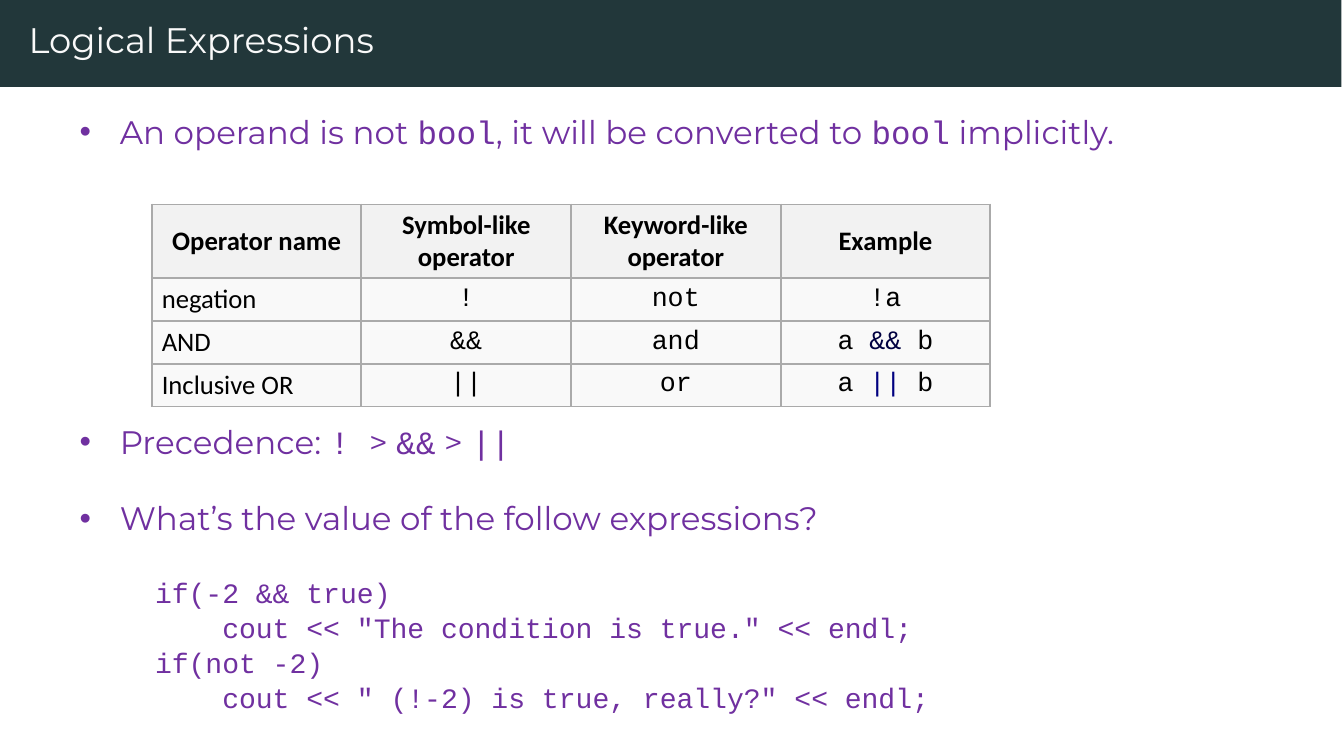
import pptx
import pptx.util
import pptx.dml.color
import pptx.enum.shapes
import pptx.enum.text
import pptx.oxml
import pptx.oxml.ns

Cm = pptx.util.Cm
Pt = pptx.util.Pt
align = pptx.enum.text.PP_ALIGN
anchor = pptx.enum.text.MSO_ANCHOR
namespace = pptx.oxml.ns.nsdecls("a")
MONO = "Courier New"
SANS = "Montserrat"
PURPLE = "7030A0"


def color(value):
    return pptx.dml.color.RGBColor.from_string(value)


def add_run(paragraph, text, name, size, fill, bold=False):
    run = paragraph.add_run()
    run.text = text
    for key, value in {"name": name, "size": Pt(size), "bold": bold}.items():
        setattr(run.font, key, value)
    run.font.color.rgb = color(fill)


presentation = pptx.Presentation()
presentation.slide_width = Cm(16.03)
presentation.slide_height = Cm(9.02)
slide = presentation.slides.add_slide(presentation.slide_layouts[5])

band = slide.shapes.add_shape(
    pptx.enum.shapes.MSO_SHAPE.RECTANGLE, 0, 0, Cm(16), Cm(1.04))
band.shadow.inherit = False
band.fill.solid()
band.fill.fore_color.rgb = color("22373A")
band.line.fill.background()
slide.shapes._spTree.insert(2, band._element)

title = slide.shapes.title
body = slide.shapes.add_textbox(0, 0, Cm(1), Cm(1))
places = [(title, (0.34, 0.22, 12.17, 0.58)), (body, (0.95, 1.34, 14.25, 7.47))]
frame_format = {"margin_left": 0, "margin_right": 0, "margin_top": 0,
                "margin_bottom": 0, "word_wrap": True,
                "vertical_anchor": anchor.TOP,
                "auto_size": pptx.enum.text.MSO_AUTO_SIZE.NONE}
for shape, place in places:
    for key, value in zip(("left", "top", "width", "height"), place):
        setattr(shape, key, Cm(value))
    for key, value in frame_format.items():
        setattr(shape.text_frame, key, value)
heading = title.text_frame.paragraphs[0]
heading.alignment = align.LEFT
add_run(heading, "Logical Expressions", SANS, 12, "F9F9F9")

bullets = [
    (0, [("An operand is not ", SANS), ("bool", MONO),
         (", it will be converted to ", SANS), ("bool", MONO),
         (" implicitly.", SANS)]),
    (91.5, [("Precedence: ", SANS), ("! ", MONO), ("> ", SANS),
            ("&&", MONO), (" > ", SANS), ("||", MONO)]),
    (12.7, [("What’s the value of the follow expressions?", SANS)]),
]
code_lines = [
    (12.7, "if(-2 && true)"),
    (0.5, "    cout << \"The condition is true.\" << endl;"),
    (0.5, "if(not -2)"),
    (0.5, "    cout << \" (!-2) is true, really?\" << endl;"),
]
paragraph = body.text_frame.paragraphs[0]
for index, (space, parts) in enumerate(bullets):
    if index:
        paragraph = body.text_frame.add_paragraph()
        paragraph.space_before = Pt(space)
    properties = paragraph._p.get_or_add_pPr()
    properties.set("marL", str(Cm(0.48)))
    properties.set("indent", str(-Cm(0.48)))
    for tag in ('buFont {} typeface="Arial"', 'buChar {} char="•"'):
        properties.append(pptx.oxml.parse_xml(f"<a:{tag.format(namespace)}/>"))
    for text, name in parts:
        add_run(paragraph, text, name, 11, PURPLE)
for space, text in code_lines:
    paragraph = body.text_frame.add_paragraph()
    paragraph.space_before = Pt(space)
    paragraph._p.get_or_add_pPr().set("marL", str(Cm(0.9)))
    add_run(paragraph, text, MONO, 9.5, PURPLE)

operators = [
    ["Operator name", "Symbol-like operator", "Keyword-like operator", "Example"],
    ["negation", "!", "not", "!a"],
    ["AND", "&&", "and", [("a ", "000000"), ("&&", "000040"), (" b", "000000")]],
    ["Inclusive OR", "||", "or",
     [("a ", "000000"), ("||", "000080"), (" b", "000000")]],
]
table = slide.shapes.add_table(
    4, 4, Cm(1.81), Cm(2.44), Cm(10), Cm(2.41)).table
for column in table.columns:
    column.width = Cm(2.5)
for row, height in zip(table.rows, (0.88, 0.51, 0.51, 0.51)):
    row.height = Cm(height)
cell_format = {"margin_left": Cm(0.12), "margin_right": Cm(0.12),
               "margin_top": Cm(0.05), "margin_bottom": Cm(0.05),
               "vertical_anchor": anchor.MIDDLE}
for row_index, values in enumerate(operators):
    for column_index, content in enumerate(values):
        cell = table.cell(row_index, column_index)
        header = row_index == 0
        label = column_index == 0
        for key, value in cell_format.items():
            setattr(cell, key, value)
        cell.fill.solid()
        cell.fill.fore_color.rgb = color("F2F2F2" if header else "F9F9F9")
        for position, side in enumerate("LRTB"):
            border = pptx.oxml.parse_xml(
                f'<a:ln{side} {namespace} w="{Pt(0.75)}"><a:solidFill>'
                f'<a:srgbClr val="AAAAAA"/></a:solidFill></a:ln{side}>')
            cell._tc.get_or_add_tcPr().insert(position, border)
        paragraph = cell.text_frame.paragraphs[0]
        paragraph.alignment = align.LEFT if label and not header else align.CENTER
        parts = [(content, "000000")] if isinstance(content, str) else content
        for text, fill in parts:
            add_run(paragraph, text, "Calibri" if header or label else MONO,
                    9, fill, header)

presentation.save("out.pptx")
